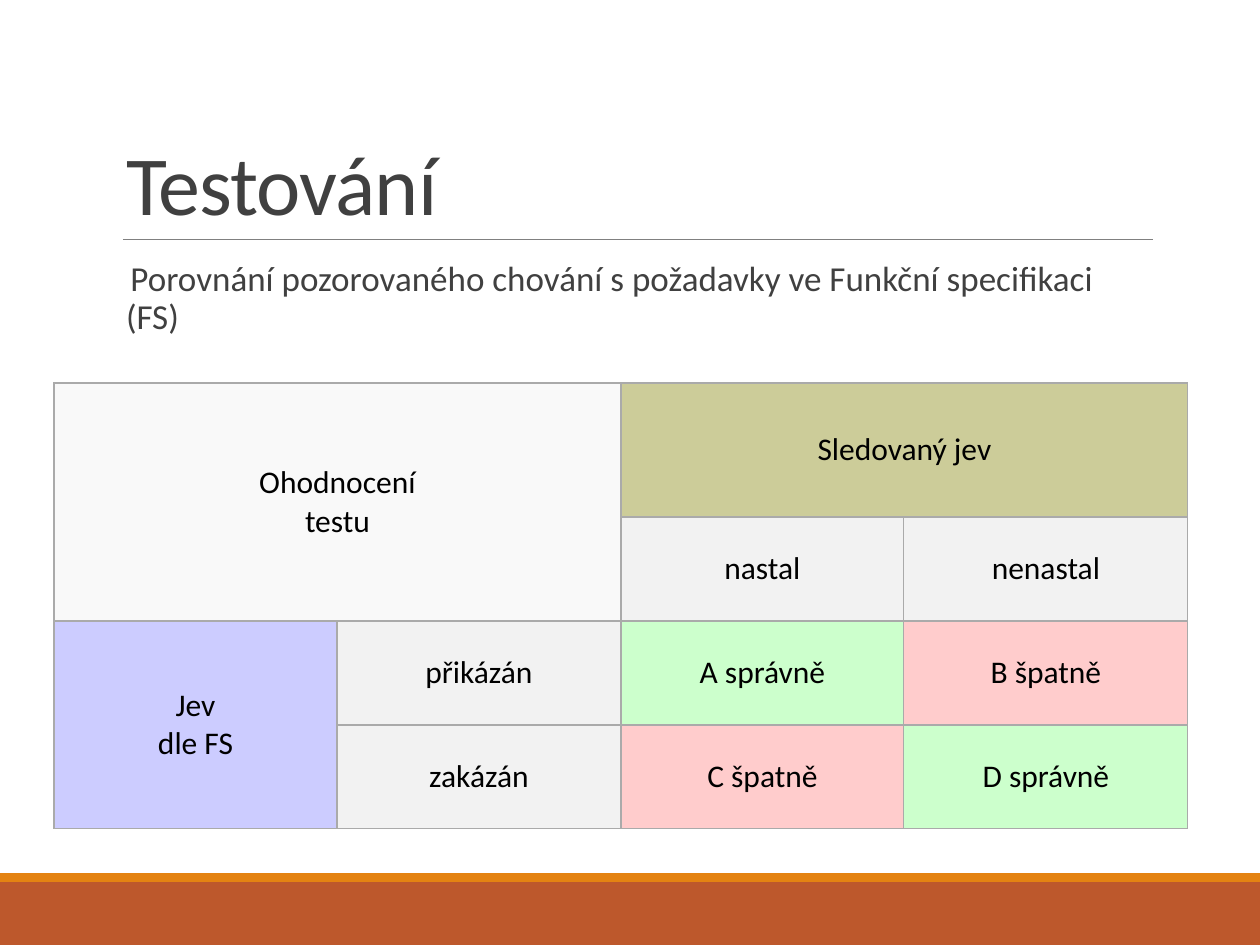
from lxml.etree import SubElement
from pptx import Presentation
from pptx.dml.color import RGBColor
from pptx.enum.shapes import MSO_CONNECTOR, MSO_SHAPE
from pptx.enum.text import MSO_ANCHOR, PP_ALIGN
from pptx.oxml.ns import qn
from pptx.util import Emu, Pt

FONT = "Calibri"
RUST = RGBColor(0xBD, 0x58, 0x2C)
ORANGE = RGBColor(0xE4, 0x83, 0x12)
RULE_GRAY = RGBColor(0x80, 0x80, 0x80)
DARK = RGBColor(0x40, 0x40, 0x40)
BLACK = RGBColor(0x00, 0x00, 0x00)
BORDER = RGBColor(0xAA, 0xAA, 0xAA)
PALE = RGBColor(0xF9, 0xF9, 0xF9)
LIGHT = RGBColor(0xF2, 0xF2, 0xF2)
OLIVE = RGBColor(0xCC, 0xCC, 0x99)
LAVENDER = RGBColor(0xCC, 0xCC, 0xFF)
GREEN = RGBColor(0xCC, 0xFF, 0xCC)
PINK = RGBColor(0xFF, 0xCC, 0xCC)

COLUMN_WIDTHS = [283, 284, 283, 284]
ROW_HEIGHTS = [134, 104, 104, 104]
CELLS = [
    (0, 0, 2, 2, "Ohodnocení\ntestu", PALE),
    (0, 2, 1, 2, "Sledovaný jev", OLIVE),
    (1, 2, 1, 1, "nastal", LIGHT),
    (1, 3, 1, 1, "nenastal", LIGHT),
    (2, 0, 2, 1, "Jev\ndle FS", LAVENDER),
    (2, 1, 1, 1, "přikázán", LIGHT),
    (2, 2, 1, 1, "A správně", GREEN),
    (2, 3, 1, 1, "B špatně", PINK),
    (3, 1, 1, 1, "zakázán", LIGHT),
    (3, 2, 1, 1, "C špatně", PINK),
    (3, 3, 1, 1, "D správně", GREEN),
]


def px(n):
    return Emu(round(n * 914400 / 126))


def set_font(p, size, color):
    p.font.name = FONT
    p.font.size = Pt(size)
    p.font.color.rgb = color


def add_band(s, y, h, color):
    sp = s.shapes.add_shape(MSO_SHAPE.RECTANGLE, 0, px(y), px(1260), px(h))
    sp.shadow.inherit = False
    sp.fill.solid()
    sp.fill.fore_color.rgb = color
    sp.line.fill.background()


def add_rule(s, x1, x2, y):
    line = s.shapes.add_connector(MSO_CONNECTOR.STRAIGHT, px(x1), px(y), px(x2), px(y))
    line.line.color.rgb = RULE_GRAY
    line.line.width = Pt(0.5)
    SubElement(line._element.spPr, qn("a:effectLst"))


def add_text(s, y, h, text, size, spacing, anchor, inset):
    tf = s.shapes.add_textbox(px(113), px(y), px(1040), px(h)).text_frame
    tf.word_wrap = True
    tf.vertical_anchor = anchor
    tf.margin_left = tf.margin_right = px(inset)
    p = tf.paragraphs[0]
    p.text = text
    p.line_spacing = spacing
    set_font(p, size, DARK)
    return p


def add_title(s):
    p = add_text(s, 39, 200, "Testování", 48, 0.85, MSO_ANCHOR.BOTTOM, 13)
    p.runs[0]._r.get_or_add_rPr().set("spc", "-50")


def add_body(s):
    text = "Porovnání pozorovaného chování s požadavky ve Funkční specifikaci (FS)"
    p = add_text(s, 255, 554, text, 20, 0.9, MSO_ANCHOR.TOP, 0)
    p.space_before = Pt(12)
    p.space_after = Pt(2)
    pPr = p._p.get_or_add_pPr()
    pPr.set("marL", str(px(13)))
    pPr.set("indent", str(px(-13)))
    bullet = pPr.makeelement(qn("a:buChar"), {"char": " "})
    pPr.find(qn("a:defRPr")).addprevious(bullet)


def add_borders(cell):
    tcPr = cell._tc.get_or_add_tcPr()
    for i, side in enumerate(("lnL", "lnR", "lnT", "lnB")):
        ln = tcPr.makeelement(qn(f"a:{side}"), {"w": str(Pt(0.75))})
        fill = SubElement(ln, qn("a:solidFill"))
        SubElement(fill, qn("a:srgbClr"), val=str(BORDER))
        tcPr.insert(i, ln)


def fill_cell(cell, text, color):
    cell.fill.solid()
    cell.fill.fore_color.rgb = color
    cell.vertical_anchor = MSO_ANCHOR.MIDDLE
    p = cell.text_frame.paragraphs[0]
    p.text = text
    p.alignment = PP_ALIGN.CENTER
    set_font(p, 18, BLACK)


def add_matrix(s):
    frame = s.shapes.add_table(
        len(ROW_HEIGHTS), len(COLUMN_WIDTHS), px(54), px(383),
        px(sum(COLUMN_WIDTHS)), px(sum(ROW_HEIGHTS)))
    table = frame.table
    table.first_row = table.horz_banding = False
    for column, width in zip(table.columns, COLUMN_WIDTHS):
        column.width = px(width)
    for row, height in zip(table.rows, ROW_HEIGHTS):
        row.height = px(height)
    for row, col, row_span, col_span, text, color in CELLS:
        cell = table.cell(row, col)
        if row_span * col_span > 1:
            cell.merge(table.cell(row + row_span - 1, col + col_span - 1))
        fill_cell(cell, text, color)
    for cell in table.iter_cells():
        if cell.is_spanned:
            cell.fill.background()
        add_borders(cell)


def main():
    prs = Presentation()
    prs.slide_width = px(1260)
    prs.slide_height = px(945)
    s = prs.slides.add_slide(prs.slide_layouts[6])
    add_band(s, 882, 63, RUST)
    add_band(s, 873, 9, ORANGE)
    add_rule(s, 123, 1153, 239)
    add_title(s)
    add_body(s)
    add_matrix(s)
    prs.save("out.pptx")


if __name__ == "__main__":
    main()
